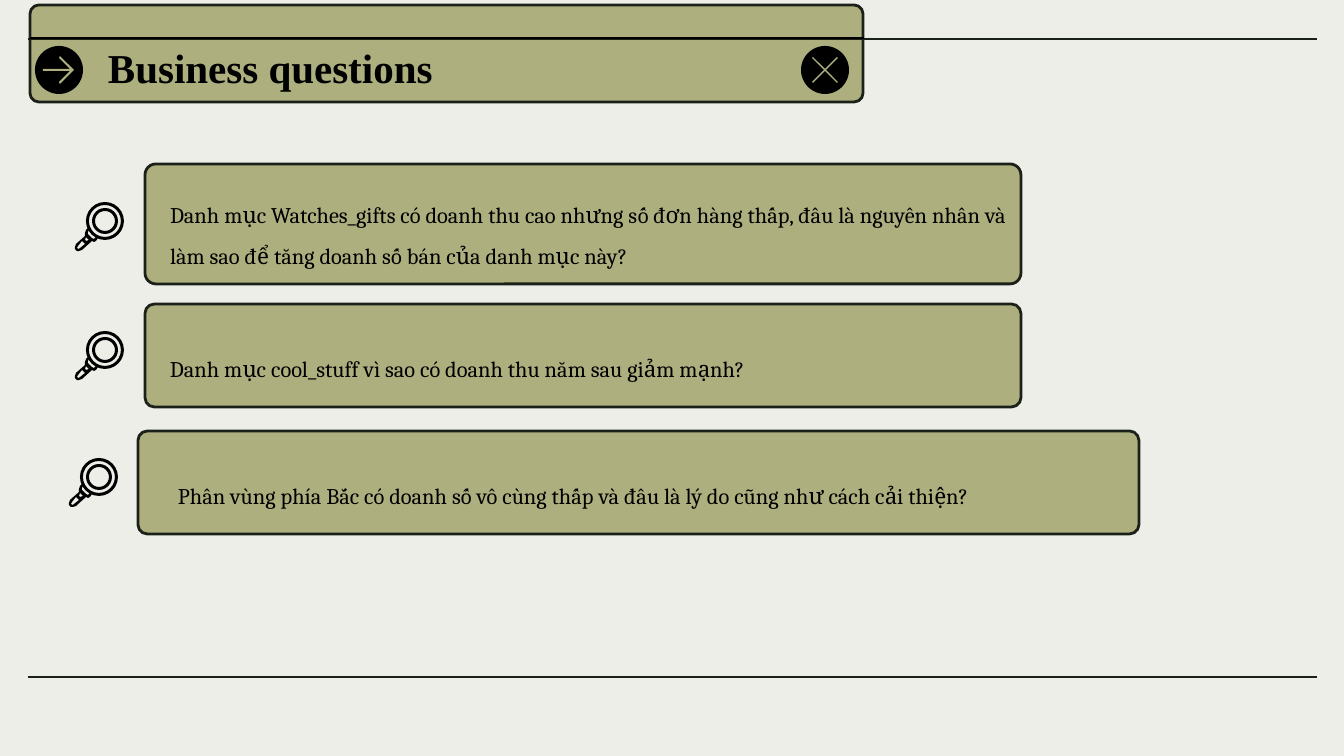
"""Build the "Business questions" slide with three question cards."""
from dataclasses import dataclass

from lxml.etree import SubElement
from pptx import Presentation
from pptx.dml.color import RGBColor
from pptx.enum.shapes import MSO_CONNECTOR, MSO_SHAPE
from pptx.enum.text import MSO_ANCHOR
from pptx.oxml.ns import qn
from pptx.util import Pt

SCALE = 914400 / 134.4


@dataclass(frozen=True)
class Theme:
    background: str = "EEEEE9"
    card: str = "ADAF7E"
    outline: str = "1B2119"
    ink: str = "000000"
    title_font: str = "Times New Roman"
    body_font: str = "Cambria"
    title_size: int = 22
    body_size: int = 12
    stroke: float = 1.5
    corner: float = 0.091


THEME = Theme()
TITLE = "Business questions"
TITLE_BAR = (30, 5, 833, 97)
TITLE_AREA = (95, 46, 491, 59)
RULES = [
    (28, 1317, 677, THEME.outline),
    (28, 1317, 39, THEME.outline),
    (30, 864, 38, THEME.ink),
]
QUESTIONS = [
    {
        "text": "Danh mục Watches_gifts có doanh thu cao nhưng số đơn hàng thấp, "
                "đâu là nguyên nhân và làm sao để tăng doanh số bán của danh mục này?",
        "card": (145, 164, 876, 120), "area": (157, 175, 876, 81), "lens": (105, 221),
    },
    {
        "text": "Danh mục cool_stuff vì sao có doanh thu năm sau giảm mạnh?",
        "card": (145, 304, 876, 103), "area": (157, 329, 1001, 81), "lens": (105, 350),
    },
    {
        "text": "Phân vùng phía Bắc có doanh số vô cùng thấp và đâu là lý do "
                "cũng như cách cải thiện?",
        "card": (138, 431, 1001, 103), "area": (165, 456, 1001, 81), "lens": (99, 477),
    },
]
ARROW = [(1, -14), (15, 0), (1, 14), (0, 12), (11, 1), (-16, 1), (-16, -1), (11, -1), (0, -12)]
CROSS = [(-12, -13), (-13, -12), (-1, 0), (-13, 12), (-12, 13), (0, 1),
         (12, 13), (13, 12), (1, 0), (13, -12), (12, -13), (0, -1)]
BUTTONS = [((59, 70), ARROW), ((825, 70), CROSS)]
BUTTON_RADIUS = 24
LENS_RINGS = [(19, 3), (13, 3)]
HANDLE = [
    [(-17, 7), (-19, 9), (-20, 12), (-20, 15), (-29, 23), (-30, 26), (-30, 28), (-28, 30),
     (-26, 30), (-23, 29), (-13, 20), (-11, 21), (-9, 20), (-7, 17), (-12, 14)],
    [(-16, 9), (-13, 13), (-9, 16), (-11, 18), (-13, 17), (-17, 13), (-17, 11)],
    [(-19, 16), (-16, 19), (-19, 20), (-20, 19)],
    [(-23, 20), (-20, 23), (-25, 27), (-26, 28), (-28, 27), (-27, 25)],
]


def px(value):
    return round(value * SCALE)


def color(value):
    return RGBColor.from_string(value)


def paint(shape, fill, line=None):
    shape.shadow.inherit = False
    shape.fill.solid()
    shape.fill.fore_color.rgb = color(fill)
    if line:
        shape.line.color.rgb = color(line)
        shape.line.width = Pt(THEME.stroke)
    else:
        shape.line.fill.background()


def add_rule(page, left, right, y, ink):
    rule = page.shapes.add_connector(MSO_CONNECTOR.STRAIGHT, px(left), px(y), px(right), px(y))
    rule.line.color.rgb = color(ink)
    rule.line.width = Pt(THEME.stroke)
    SubElement(rule._element.spPr, qn("a:effectLst"))


def add_card(page, area):
    card = page.shapes.add_shape(MSO_SHAPE.ROUNDED_RECTANGLE, *map(px, area))
    card.adjustments[0] = THEME.corner
    paint(card, THEME.card, THEME.outline)


def add_round(page, kind, center, radius):
    x, y = center
    shape = page.shapes.add_shape(kind, px(x - radius), px(y - radius), px(2 * radius), px(2 * radius))
    paint(shape, THEME.ink)
    return shape


def add_outline(page, center, contours, fill):
    first, *others = contours
    builder = page.shapes.build_freeform(*first[0], scale=SCALE)
    builder.add_line_segments(first[1:], close=True)
    for contour in others:
        builder.move_to(*contour[0])
        builder.add_line_segments(contour[1:], close=True)
    paint(builder.convert_to_shape(*map(px, center)), fill)


def add_lens(page, center):
    for radius, band in LENS_RINGS:
        ring = add_round(page, MSO_SHAPE.DONUT, center, radius)
        ring.adjustments[0] = band / (2 * radius)
    add_outline(page, center, HANDLE, THEME.ink)


def add_text(page, area, text, font, size, bold=False, anchor=MSO_ANCHOR.TOP, spacing=1.0):
    box = page.shapes.add_textbox(*map(px, area))
    frame = box.text_frame
    frame.word_wrap = True
    frame.vertical_anchor = anchor
    frame.margin_left = frame.margin_right = frame.margin_top = frame.margin_bottom = px(13)
    para = frame.paragraphs[0]
    para.line_spacing = spacing
    span = para.add_run()
    span.text = text
    span.font.name = font
    span.font.size = Pt(size)
    span.font.bold = bold
    span.font.color.rgb = color(THEME.ink)


def main():
    deck = Presentation()
    deck.slide_width, deck.slide_height = px(1344), px(756)
    page = deck.slides.add_slide(deck.slide_layouts[6])
    page.background.fill.solid()
    page.background.fill.fore_color.rgb = color(THEME.background)

    add_card(page, TITLE_BAR)
    for rule in RULES:
        add_rule(page, *rule)
    for center, glyph in BUTTONS:
        add_round(page, MSO_SHAPE.OVAL, center, BUTTON_RADIUS)
        add_outline(page, center, [glyph], THEME.card)
    add_text(page, TITLE_AREA, TITLE, THEME.title_font, THEME.title_size, True, MSO_ANCHOR.BOTTOM)

    for question in QUESTIONS:
        add_card(page, question["card"])
        add_text(page, question["area"], question["text"], THEME.body_font, THEME.body_size, spacing=1.5)
        add_lens(page, question["lens"])

    deck.save("out.pptx")


if __name__ == "__main__":
    main()
